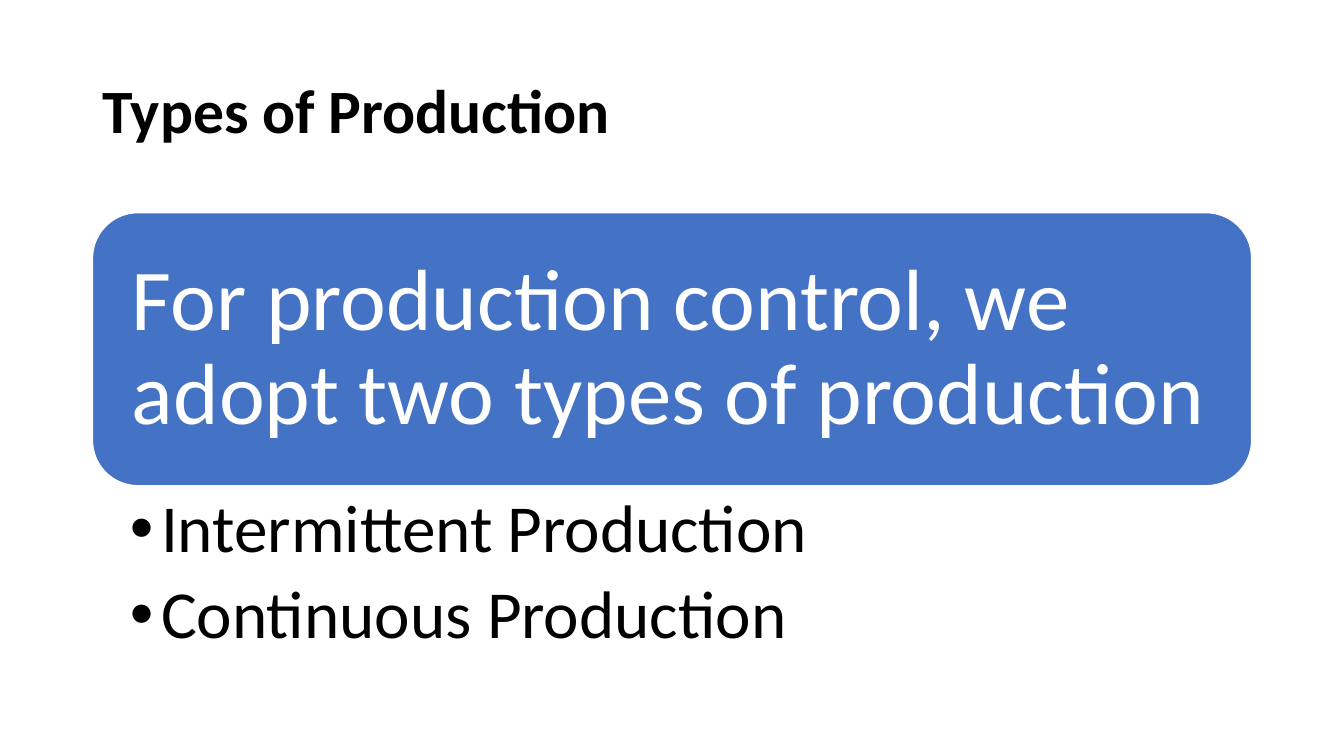
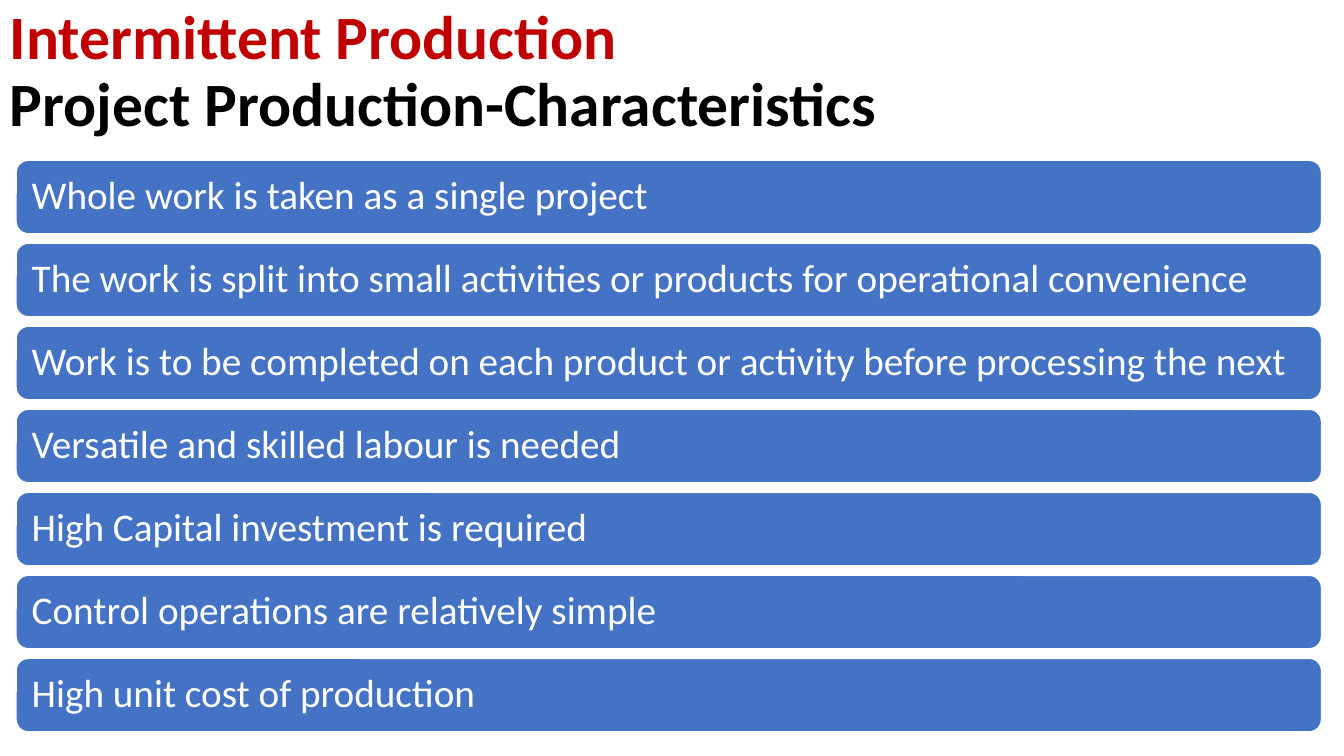
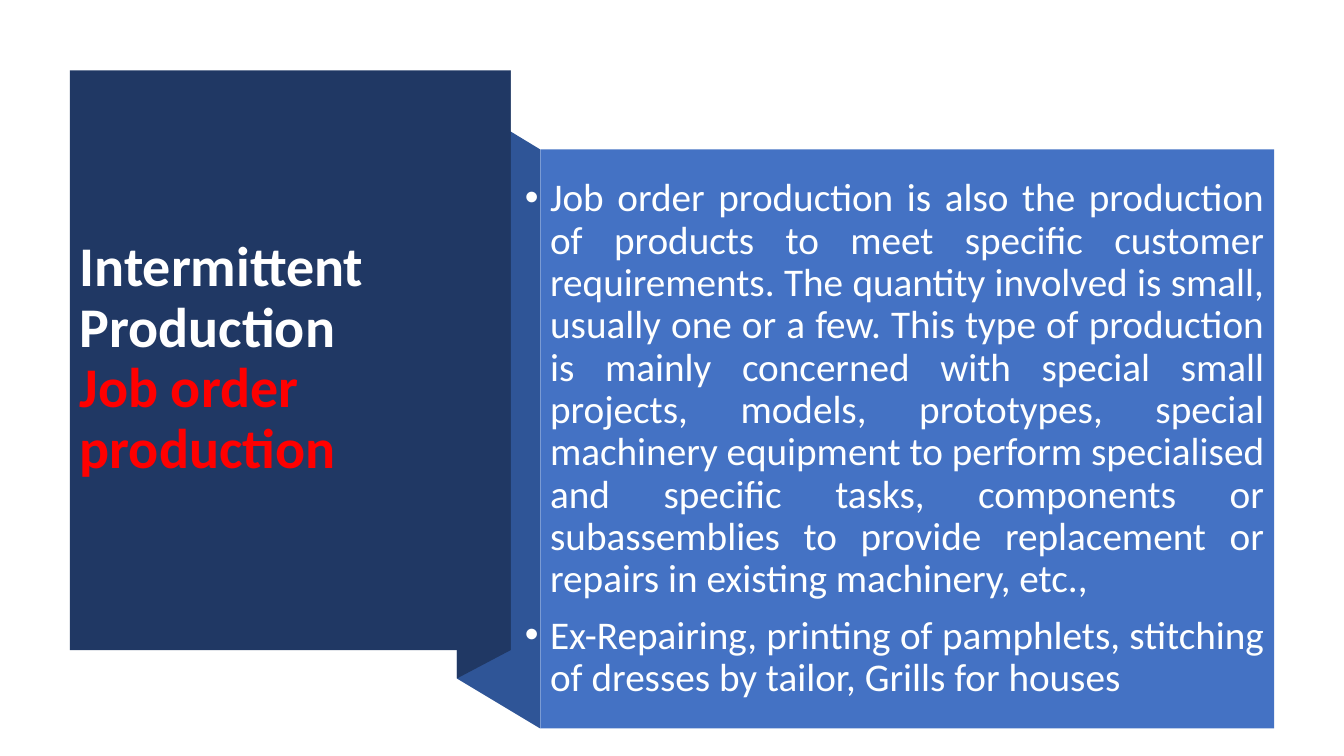
from pptx import Presentation
from pptx.dml.color import RGBColor
from pptx.enum.shapes import MSO_SHAPE as SHAPE
from pptx.enum.text import MSO_ANCHOR as ANCHOR, PP_ALIGN as ALIGN
from pptx.oxml.ns import qn
from pptx.util import Inches, Pt
from lxml import etree

# Shared style
FONT = "Calibri"
BLACK, WHITE, OFF_WHITE = "000000", "FFFFFF", "FEFFFF"
BLUE, MID_BLUE, NAVY = "4472C4", "2F5597", "203864"
DARK_RED, RED = "C00000", "FF0000"
INSETS = (0.1, 0.05, 0.1, 0.05)

prs = Presentation()
prs.slide_width, prs.slide_height = Inches(13.333), Inches(7.5)


def color(value):
    return RGBColor.from_string(value)


def point(x, y):
    """Turn percentages of the slide's size into lengths."""
    return round(prs.slide_width * x / 100), round(prs.slide_height * y / 100)


def place(box):
    return point(*box[:2]) + point(*box[2:])


def new_slide():
    return prs.slides.add_slide(prs.slide_layouts[6])


def paint(sp, fill, line=None):
    sp.shadow.inherit = False
    sp.fill.solid()
    sp.fill.fore_color.rgb = color(fill)
    if line:
        sp.line.color.rgb = color(line)
        sp.line.width = Pt(1)
    else:
        sp.line.fill.background()


def frame(sp, anchor=ANCHOR.MIDDLE, insets=INSETS):
    tf = sp.text_frame
    tf.word_wrap = True
    tf.vertical_anchor = anchor
    tf.margin_left, tf.margin_top, tf.margin_right, tf.margin_bottom = map(Inches, insets)
    return tf


def style(p, align=ALIGN.LEFT):
    p.alignment = align
    p.line_spacing = 0.9


def add_run(p, text, size, ink, bold=False):
    r = p.add_run()
    r.text = text
    r.font.name, r.font.size, r.font.bold = FONT, Pt(size), bold
    r.font.color.rgb = color(ink)


def add_title(s, box, lines, size=44):
    """Bold title; lines are (text, colour) pairs."""
    p = frame(s.shapes.add_textbox(*place(box))).paragraphs[0]
    style(p)
    for i, (text, ink) in enumerate(lines):
        if i:
            p.add_line_break()
        add_run(p, text, size, ink, True)


def add_band(s, box, text, size, inset):
    """Rounded blue band with white text."""
    sp = s.shapes.add_shape(SHAPE.ROUNDED_RECTANGLE, *place(box))
    paint(sp, BLUE, WHITE)
    p = frame(sp, insets=(inset,) * 4).paragraphs[0]
    style(p)
    add_run(p, text, size, WHITE)


def add_bullets(tf, items, size, ink, indent, before=0, after=0, align=ALIGN.LEFT):
    for i, text in enumerate(items):
        p = tf.paragraphs[0] if i == 0 else tf.add_paragraph()
        style(p, align)
        p.space_before, p.space_after = Pt(before), Pt(after)
        pPr = p._p.get_or_add_pPr()
        pPr.set("marL", str(Inches(indent)))
        pPr.set("indent", str(-Inches(indent)))
        etree.SubElement(pPr, qn("a:buFont")).set("typeface", "Arial")
        etree.SubElement(pPr, qn("a:buChar")).set("char", "•")
        add_run(p, text, size, ink)


def add_outline(s, corners, fill):
    first, *rest = [point(*c) for c in corners]
    builder = s.shapes.build_freeform(*first)
    builder.add_line_segments(rest, close=True)
    paint(builder.convert_to_shape(), fill)


def band_with_bullets(s, box, text, items):
    x, y, w, h = box
    band_h = h * 0.6
    add_band(s, (x, y, w, band_h), text, 62, 0.26)
    sp = s.shapes.add_textbox(*place((x, y + band_h, w, h - band_h)))
    tf = frame(sp, ANCHOR.TOP, (0.37, 0.09, 0.48, 0.09))
    add_bullets(tf, items, 48, BLACK, 0.31, after=9.6)


def band_stack(s, box, items, gap=0.13):
    """Equal bands; the gap is a share of a band's height."""
    x, y, w, h = box
    n = len(items)
    band_h = h / (n + (n - 1) * gap)
    for i, text in enumerate(items):
        add_band(s, (x, y + i * band_h * (1 + gap), w, band_h), text, 28, 0.12)


def folded_panels(s, panel, body, fold=4.0, drop=3.75):
    """Navy panel joined to the blue body by a folded ribbon."""
    x, y, w, h = panel
    bx, by, bw, bh = body
    right, bottom = x + w, y + h
    fold_x = right - fold
    inner = [(fold_x, bottom + drop), (fold_x, y + drop)]
    add_outline(s, [(bx, by + bh), *inner, (bx, by)], MID_BLUE)
    add_outline(s, [(right, bottom), *inner, (right, y)], NAVY)
    for box, fill in ((panel, NAVY), (body, BLUE)):
        paint(s.shapes.add_shape(SHAPE.RECTANGLE, *place(box)), fill)


# Slide 1: types of production
s = new_slide()
add_title(s, (6.88, 5.32, 86.25, 19.33), [("Types of Production", BLACK)])
band_with_bullets(s, (6.88, 28.13, 86.25, 60.2),
                  "For production control, we adopt two types of production",
                  ["Intermittent Production", "Continuous Production"])

# Slide 2: project production
s = new_slide()
add_title(s, (0, 0, 86.25, 19.33),
          [("Intermittent Production", DARK_RED),
           ("Project Production-Characteristics", BLACK)])
band_stack(s, (1.2, 21.2, 97.13, 75.6), [
    "Whole work is taken as a single project",
    "The work is split into small activities or products for operational convenience",
    "Work is to be completed on each product or activity before processing the next",
    "Versatile and skilled labour is needed",
    "High Capital investment is required",
    "Control operations are relatively simple",
    "High unit cost of production",
])

# Slide 3: job order production
s = new_slide()
panel, body = (5.2, 9.33, 32.8, 76.67), (40.2, 19.77, 54.6, 76.6)
folded_panels(s, panel, body)
add_title(s, (panel[0], 14.27, 28.43, 66.53),
          [("Intermittent Production", WHITE), ("Job order production", RED)], 40)
x, y, w, h = body
overlap = 1.88
tf = frame(s.shapes.add_textbox(*place((x - overlap, y, w + overlap, h))))
add_bullets(tf, [
    "Job order production is also the production of products to meet specific "
    "customer requirements. The quantity involved is small, usually one or a few. "
    "This type of production is mainly concerned with special small projects, models, "
    "prototypes, special machinery equipment to perform specialised and specific tasks, "
    "components or subassemblies to provide replacement or repairs in existing "
    "machinery, etc.,",
    "Ex-Repairing, printing of pamphlets, stitching of dresses by tailor, Grills for houses",
], 28, OFF_WHITE, 0.25, before=10, align=ALIGN.JUSTIFY)

prs.save("out.pptx")
